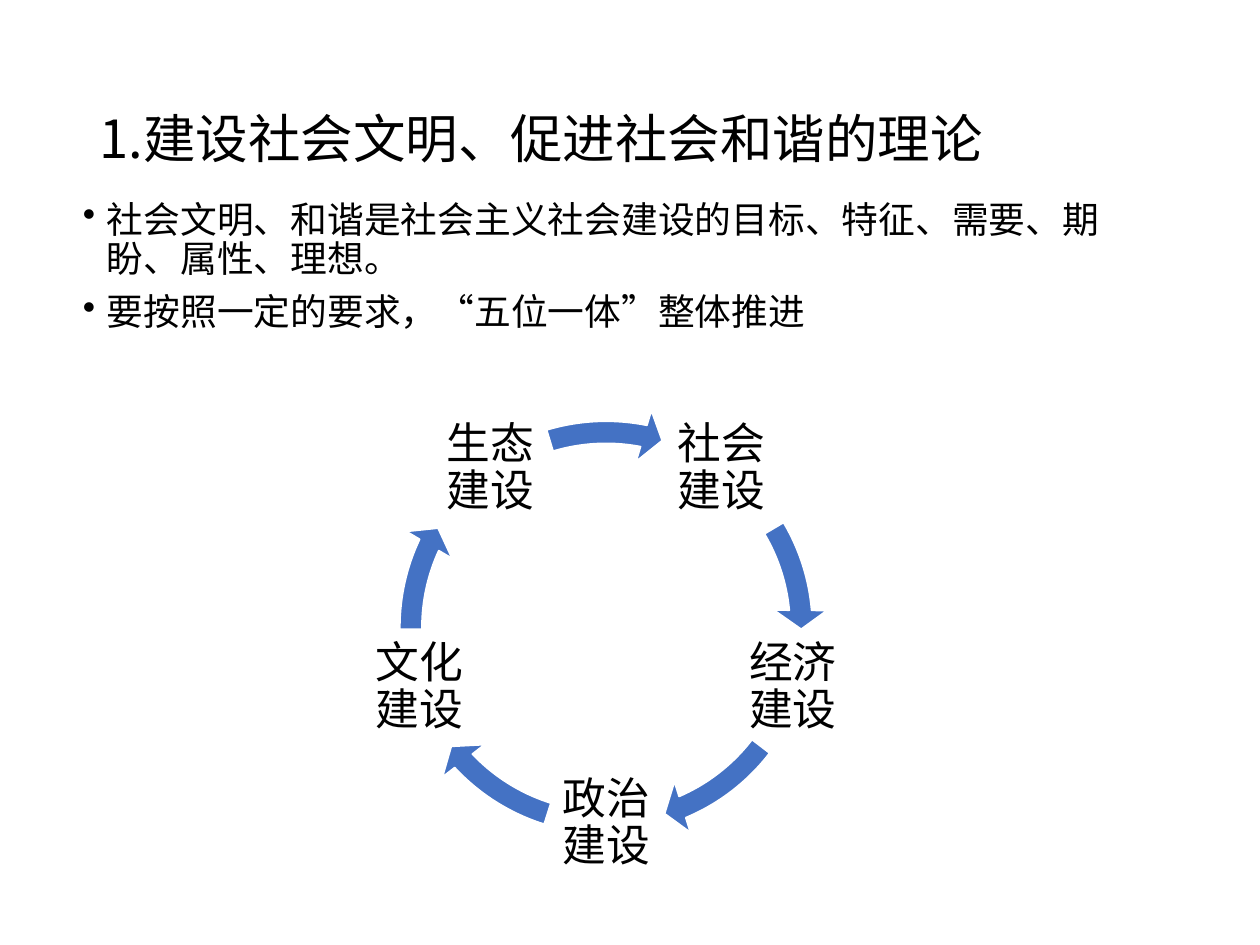
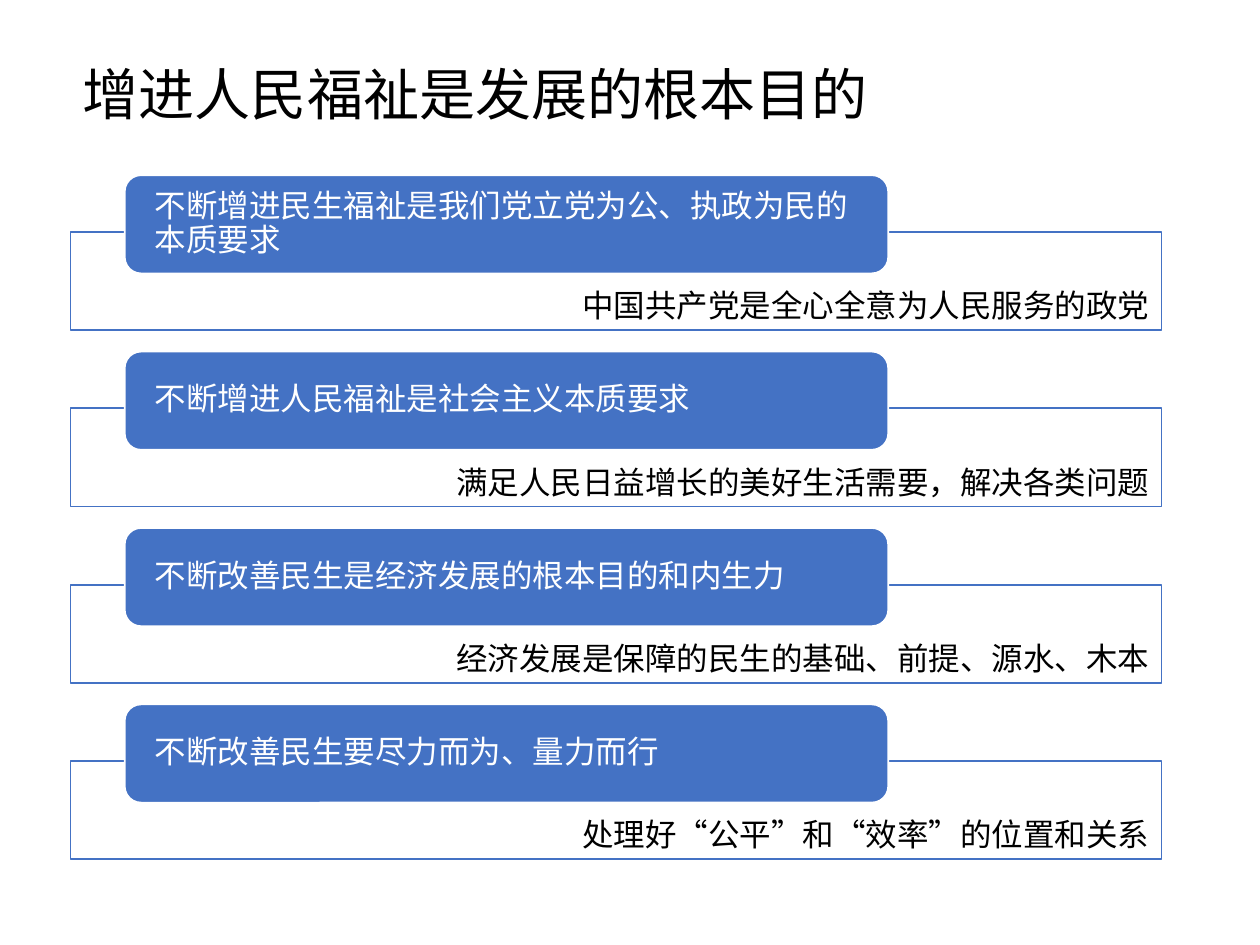
from math import cos, radians, sin

from lxml import etree
from pptx import Presentation
from pptx.dml.color import RGBColor
from pptx.enum.shapes import MSO_SHAPE
from pptx.enum.text import MSO_ANCHOR, PP_ALIGN
from pptx.oxml.ns import qn
from pptx.util import Inches, Pt

BLUE = RGBColor(0x44, 0x72, 0xC4)
WHITE = RGBColor(0xFF, 0xFF, 0xFF)
BLACK = RGBColor(0, 0, 0)
FONT = "Noto Sans CJK SC"
LEFT, MID, RIGHT = PP_ALIGN.LEFT, PP_ALIGN.CENTER, PP_ALIGN.RIGHT
TOP, CENTER, BOTTOM = MSO_ANCHOR.TOP, MSO_ANCHOR.MIDDLE, MSO_ANCHOR.BOTTOM
RECT, ROUND = MSO_SHAPE.RECTANGLE, MSO_SHAPE.ROUNDED_RECTANGLE
ARROW = MSO_SHAPE.CIRCULAR_ARROW

HUB = (4.81, 4.98)
STEPS = [
    ("社会建设", 212.96, 197.64),
    ("经济建设", 40.17, 22.51),
    ("政治建设", 82.14, 64.47),
    ("文化建设", 123.01, 107.69),
    ("生态建设", 168.68, 151.96),
]
POINTS = [
    "社会文明、和谐是社会主义社会建设的目标、特征、需要、期盼、属性、理想。",
    "要按照一定的要求，“五位一体”整体推进",
]
AIMS = [
    ("不断增进民生福祉是我们党立党为公、执政为民的本质要求", "中国共产党是全心全意为人民服务的政党"),
    ("不断增进人民福祉是社会主义本质要求", "满足人民日益增长的美好生活需要，解决各类问题"),
    ("不断改善民生是经济发展的根本目的和内生力", "经济发展是保障的民生的基础、前提、源水、木本"),
    ("不断改善民生要尽力而为、量力而行", "处理好“公平”和“效率”的位置和关系"),
]


def style(para, size, color=BLACK, align=LEFT, lead=0.9):
    """Format a paragraph and its runs, Latin and East Asian alike."""
    para.alignment = align
    para.line_spacing = lead
    for run in para.runs:
        run.font.size = Pt(size)
        run.font.name = FONT
        run.font.color.rgb = color
        east = etree.SubElement(run.font._element, qn("a:ea"))
        east.set("typeface", FONT)


def setup(frame, anchor, pad=(0.1, 0.05)):
    """Set wrapping, anchor and insets of a text frame."""
    frame.word_wrap = True
    frame.vertical_anchor = anchor
    frame.margin_left = frame.margin_right = Inches(pad[0])
    frame.margin_top = frame.margin_bottom = Inches(pad[1])


def add_text(slide, box, text, size, align=LEFT, pad=(0.1, 0.05)):
    """Add a vertically centred one-paragraph text box."""
    frame = slide.shapes.add_textbox(*map(Inches, box)).text_frame
    setup(frame, CENTER, pad)
    frame.text = text
    style(frame.paragraphs[0], size, align=align)


def add_list(slide, box, items, size):
    """Add a bulleted list with hanging indents."""
    frame = slide.shapes.add_textbox(*map(Inches, box)).text_frame
    setup(frame, TOP)
    frame.text = "\n".join(items)
    for i, para in enumerate(frame.paragraphs):
        props = para._p.get_or_add_pPr()
        props.set("marL", str(Inches(0.19)))
        props.set("indent", str(Inches(-0.19)))
        etree.SubElement(props, qn("a:buChar")).set("char", "•")
        style(para, size)
        if i:
            para.space_before = Pt(7.5)


def add_shape(slide, kind, box, fill, line):
    """Add a flat preset shape with a thin outline."""
    shape = slide.shapes.add_shape(kind, *map(Inches, box))
    shape.shadow.inherit = False
    shape.fill.solid()
    shape.fill.fore_color.rgb = fill
    shape.line.color.rgb = line
    shape.line.width = Pt(1)
    return shape


def add_cycle(slide, steps, hub, reach=1.56, side=0.94, ring=3.52):
    """Place the labels evenly round a hub, with an arrow after each."""
    x, y = hub
    for i, (label, end, start) in enumerate(steps):
        turn = radians(i * 360 / len(steps) - 54)
        left = x + reach * cos(turn) - side / 2
        top = y + reach * sin(turn) - side / 2
        add_text(slide, (left, top, side, side), label, 25, MID, (0.03, 0.03))
        box = (x - ring / 2, y - ring / 2, ring, ring)
        arrow = add_shape(slide, ARROW, box, BLUE, WHITE)
        for n, value in enumerate((0.05, 3.35, end, start, 0.06)):
            arrow.adjustments[n] = value


def add_aim(slide, top, head, note):
    """Add a framed note with a blue heading bar over its top edge."""
    frame = add_shape(slide, RECT, (0.56, top + 0.45, 8.66, 0.78), WHITE, BLUE)
    setup(frame.text_frame, BOTTOM)
    frame.text_frame.text = note
    style(frame.text_frame.paragraphs[0], 18, align=RIGHT, lead=1.0)
    bar = add_shape(slide, ROUND, (0.99, top, 6.06, 0.78), BLUE, WHITE)
    setup(bar.text_frame, CENTER, (0.2, 0))
    bar.text_frame.text = head
    style(bar.text_frame.paragraphs[0], 18, WHITE)


def main():
    """Build both slides and save the deck."""
    deck = Presentation()
    deck.slide_width, deck.slide_height = Inches(10), Inches(7.5)
    blank = deck.slide_layouts[6]

    slide = deck.slides.add_slide(blank)
    add_text(slide, (0.69, 0.4, 8.62, 1.45), "1.建设社会文明、促进社会和谐的理论", 30)
    add_list(slide, (0.56, 1.55, 8.27, 4.97), POINTS, 21)
    add_cycle(slide, STEPS, HUB)

    slide = deck.slides.add_slide(blank)
    add_text(slide, (0.56, 0.32, 7.72, 0.91), "增进人民福祉是发展的根本目的", 32)
    for i, (head, note) in enumerate(AIMS):
        add_aim(slide, 1.39 + 1.4 * i, head, note)

    deck.save("out.pptx")


if __name__ == "__main__":
    main()
